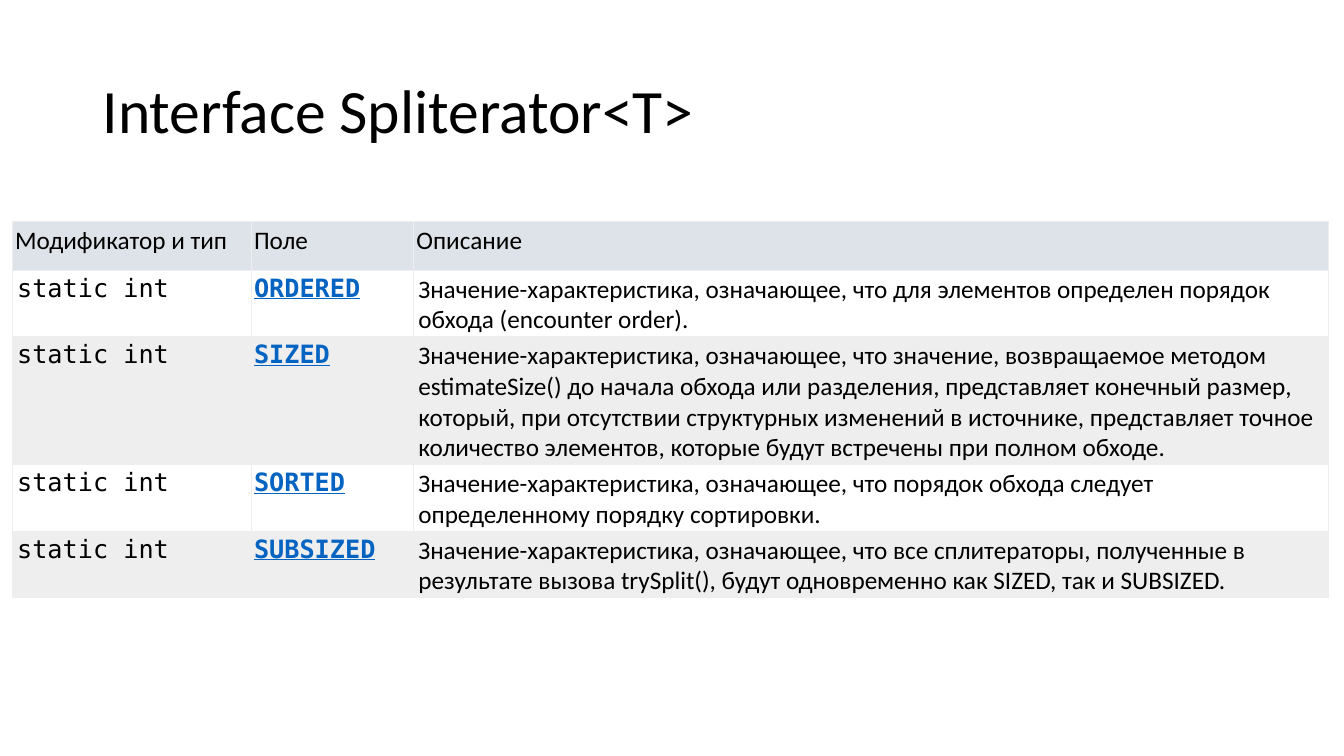
from lxml.etree import SubElement
from pptx import Presentation
from pptx.dml.color import RGBColor
from pptx.enum.text import MSO_ANCHOR
from pptx.oxml.ns import qn
from pptx.util import Inches, Pt

BODY_FONT = "Calibri"
CODE_FONT = "DejaVu Sans Mono"
BLACK = "000000"
LINK_BLUE = "0563C1"
HEADER_FILL = "DEE3E9"
ROW_FILLS = ("FFFFFF", "EEEEEF")
BORDER = "EEEEEE"

COLUMN_WIDTHS = (2.37, 1.61, 9.08)
ROW_HEIGHTS = (0.48, 0.66, 1.27, 0.66, 0.66)
HEADERS = ("Модификатор и тип", "Поле", "Описание")
FIELDS = (
    ("ORDERED", "Значение-характеристика, означающее, что для элементов определен "
                "порядок обхода (encounter order)."),
    ("SIZED", "Значение-характеристика, означающее, что значение, возвращаемое "
              "методом estimateSize() до начала обхода или разделения, представляет "
              "конечный размер, который, при отсутствии структурных изменений в "
              "источнике, представляет точное количество элементов, которые будут "
              "встречены при полном обходе."),
    ("SORTED", "Значение-характеристика, означающее, что порядок обхода следует "
               "определенному порядку сортировки."),
    ("SUBSIZED", "Значение-характеристика, означающее, что все сплитераторы, "
                 "полученные в результате вызова trySplit(), будут одновременно "
                 "как SIZED, так и SUBSIZED."),
)


def color(value):
    return RGBColor.from_string(value)


def add_span(para, text, size, font=BODY_FONT, ink=BLACK, link=False):
    span = para.add_run()
    span.text = text
    span.font.name = font
    span.font.size = Pt(size)
    span.font.color.rgb = color(ink)
    span.font.bold = link
    span.font.underline = link


def add_title(page, text):
    box = page.shapes.add_textbox(Inches(0.92), Inches(0.4), Inches(11.5), Inches(1.45))
    frame = box.text_frame
    frame.word_wrap = True
    frame.vertical_anchor = MSO_ANCHOR.MIDDLE
    para = frame.paragraphs[0]
    para.line_spacing = 0.9
    add_span(para, text, 44)


def add_borders(cell):
    properties = cell._tc.get_or_add_tcPr()
    for position, side in enumerate(("a:lnL", "a:lnR", "a:lnT", "a:lnB")):
        line = SubElement(properties, qn(side), w=str(Pt(0.6)))
        fill = SubElement(line, qn("a:solidFill"))
        SubElement(fill, qn("a:srgbClr"), val=BORDER)
        # Borders come before the cell fill
        properties.insert(position, line)


def fill_cell(cell, text, fill, left=0.03, spaced=False, **style):
    cell.margin_left = Inches(left)
    cell.margin_top = Inches(0.04)
    cell.margin_right = cell.margin_bottom = Inches(0.01)
    cell.fill.solid()
    cell.fill.fore_color.rgb = color(fill)
    add_borders(cell)
    para = cell.text_frame.paragraphs[0]
    if spaced:
        para.space_before = Pt(2.2)
        para.space_after = Pt(1.5)
    add_span(para, text, 18, **style)


def add_field_table(page):
    frame = page.shapes.add_table(
        len(ROW_HEIGHTS), len(COLUMN_WIDTHS), Inches(0.12), Inches(2.2),
        Inches(sum(COLUMN_WIDTHS)), Inches(sum(ROW_HEIGHTS)))
    table = frame.table
    for column, width in zip(table.columns, COLUMN_WIDTHS):
        column.width = Inches(width)
    for row, height in zip(table.rows, ROW_HEIGHTS):
        row.height = Inches(height)

    # Header row
    for index, header in enumerate(HEADERS):
        fill_cell(table.cell(0, index), header, HEADER_FILL)

    # One row for each field
    for index, (name, description) in enumerate(FIELDS):
        fill = ROW_FILLS[index % 2]
        modifier_cell, name_cell, description_cell = table.rows[index + 1].cells
        fill_cell(modifier_cell, "static int", fill, left=0.05, font=CODE_FONT)
        fill_cell(name_cell, name, fill, font=CODE_FONT, ink=LINK_BLUE, link=True)
        fill_cell(description_cell, description, fill, left=0.05, spaced=True)


def main():
    deck = Presentation()
    deck.slide_width = Inches(13.33)
    deck.slide_height = Inches(7.5)
    page = deck.slides.add_slide(deck.slide_layouts[6])
    add_title(page, "Interface Spliterator<T>")
    add_field_table(page)
    deck.save("out.pptx")


if __name__ == "__main__":
    main()
